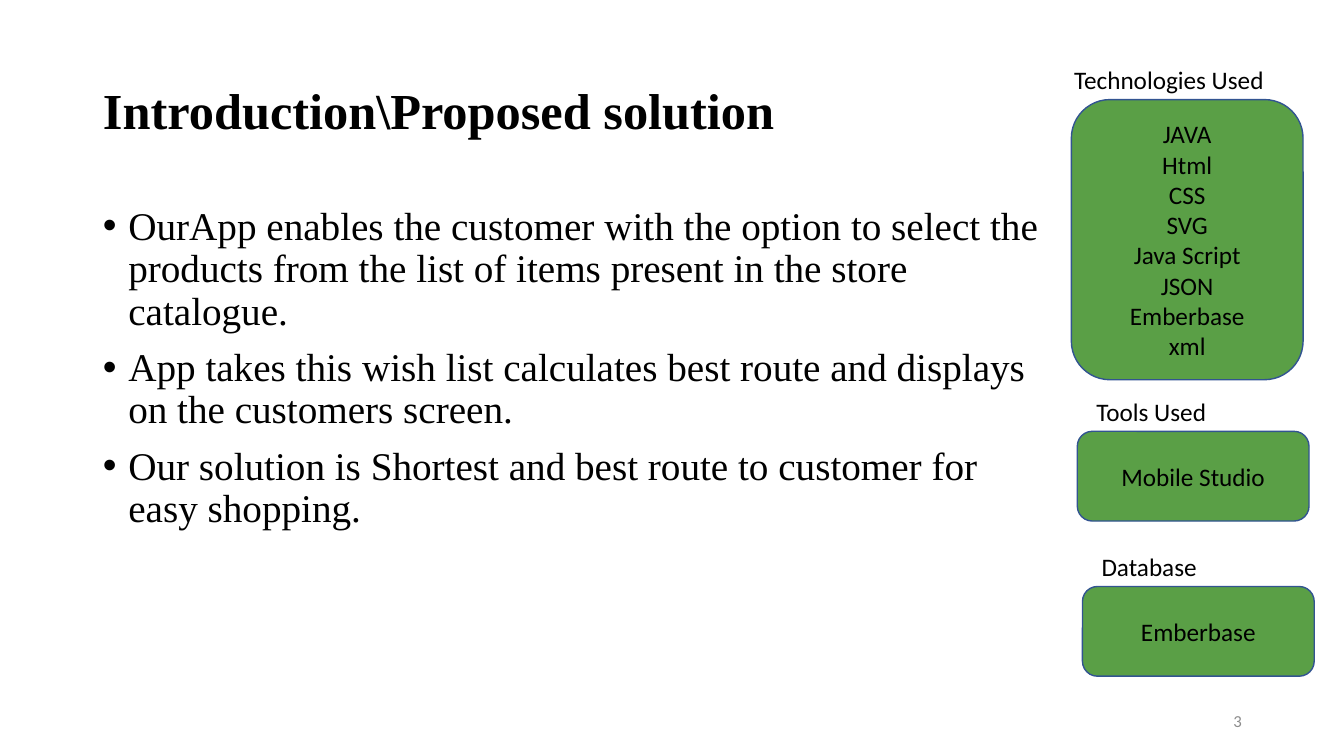
"""Build the slide that introduces the proposed solution and its technologies."""
import pptx
import pptx.dml.color
import pptx.enum.shapes
import pptx.enum.text
import pptx.util

Cm = pptx.util.Cm
Pt = pptx.util.Pt
Align = pptx.enum.text.PP_ALIGN
Anchor = pptx.enum.text.MSO_ANCHOR

BLACK = pptx.dml.color.RGBColor(0x00, 0x00, 0x00)
GRAY = pptx.dml.color.RGBColor(0x8C, 0x8C, 0x8C)
GREEN = pptx.dml.color.RGBColor(0x5A, 0x9F, 0x46)
BLUE = pptx.dml.color.RGBColor(0x32, 0x54, 0x91)

POINTS = [
    "OurApp enables the customer with the option to select the products "
    "from the list of items present in the store catalogue.",
    "App takes this wish list calculates best route and displays on the customers screen.",
    "Our solution is Shortest and best route to customer for easy shopping.",
]
TECHNOLOGIES = ["JAVA", "Html", "CSS", "SVG", "Java Script", "JSON", "Emberbase", "xml"]


class SlideBuilder:
    """Hold the style and the current slide."""

    serif = "Times New Roman"
    sans = "Calibri"
    panel_width = 5.84
    label_height = 1.01

    def __init__(self, presentation):
        """Add a title and content slide."""
        self.slide = presentation.slides.add_slide(presentation.slide_layouts[1])

    def place(self, shape, left, top, width, height):
        """Set the position and size of a shape in centimetres."""
        shape.left, shape.top = Cm(left), Cm(top)
        shape.width, shape.height = Cm(width), Cm(height)

    def set_text(self, shape, lines, font, size, color=BLACK, align=Align.LEFT,
                 anchor=Anchor.TOP, bold=False):
        """Fill a shape with one paragraph per line."""
        frame = shape.text_frame
        frame.word_wrap = True
        frame.vertical_anchor = anchor
        frame.text = "\n".join(lines)
        for paragraph in frame.paragraphs:
            paragraph.alignment = align
            paragraph.font.name = font
            paragraph.font.size = Pt(size)
            paragraph.font.bold = bold
            paragraph.font.color.rgb = color

    def title(self, text, *bounds):
        """Fill the title placeholder."""
        shape = self.slide.shapes.title
        self.place(shape, *bounds)
        self.set_text(shape, [text], self.serif, 36, anchor=Anchor.MIDDLE, bold=True)
        shape.text_frame.paragraphs[0].line_spacing = 0.9

    def bullets(self, lines, *bounds):
        """Fill the body placeholder with a bulleted list."""
        shape = self.slide.placeholders[1]
        self.place(shape, *bounds)
        self.set_text(shape, lines, self.serif, 28)
        indent = Cm(0.64)
        for paragraph in shape.text_frame.paragraphs:
            paragraph.line_spacing = 0.9
            paragraph.space_before = Pt(10)
            properties = paragraph._p.get_or_add_pPr()
            properties.set("marL", str(indent))
            properties.set("indent", str(-indent))

    def text(self, text, left, top, width, height, size=18, **style):
        """Add a text box with one line."""
        shape = self.slide.shapes.add_textbox(Cm(left), Cm(top), Cm(width), Cm(height))
        self.set_text(shape, [text], self.sans, size, **style)

    def panel(self, label, lines, left, top, height, label_shift):
        """Add a green rounded box with a label above it."""
        self.text(label, left + label_shift, top - self.label_height,
                  self.panel_width, self.label_height)
        shape = self.slide.shapes.add_shape(
            pptx.enum.shapes.MSO_SHAPE.ROUNDED_RECTANGLE,
            Cm(left), Cm(top), Cm(self.panel_width), Cm(height))
        shape.shadow.inherit = False
        shape.fill.solid()
        shape.fill.fore_color.rgb = GREEN
        shape.line.color.rgb = BLUE
        shape.line.width = Pt(1)
        self.set_text(shape, lines, self.sans, 18, align=Align.CENTER, anchor=Anchor.MIDDLE)


def main():
    """Create and save the presentation."""
    presentation = pptx.Presentation()
    presentation.slide_width = Cm(33.87)
    presentation.slide_height = Cm(19.05)
    builder = SlideBuilder(presentation)
    builder.title("Introduction\\Proposed solution", 2.34, 1.02, 29.21, 3.68)
    builder.bullets(POINTS, 2.34, 5.08, 24.43, 12.09)
    builder.text("3", 23.93, 17.65, 7.62, 1.02, size=12, color=GRAY,
                 align=Align.RIGHT, anchor=Anchor.MIDDLE)
    builder.panel("Technologies Used", TECHNOLOGIES, 27, 2.51, 7.06, -0.18)
    builder.panel("Tools Used", ["Mobile Studio"], 27.15, 10.87, 2.26, 0.23)
    builder.panel("Database", ["Emberbase"], 27.28, 14.78, 2.26, 0.23)
    presentation.save("out.pptx")


if __name__ == "__main__":
    main()
